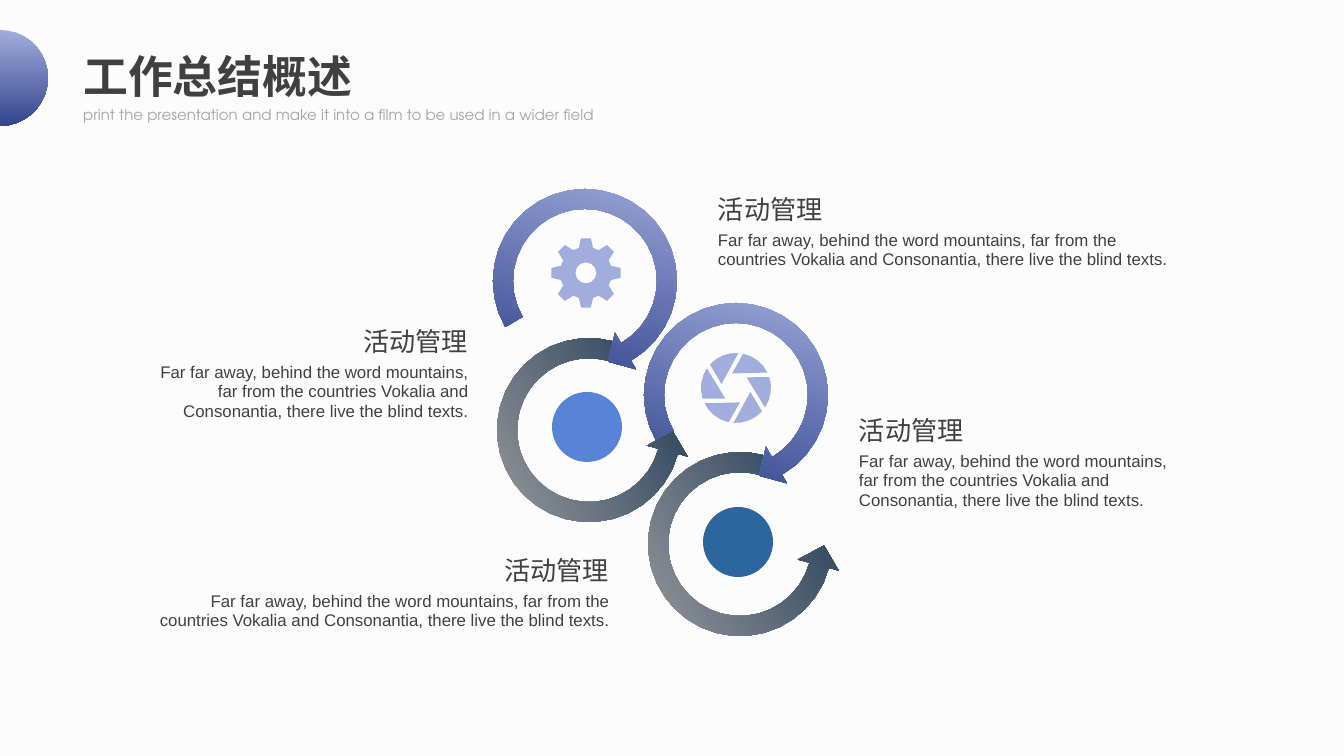
from math import cos, radians, sin

from pptx import Presentation
from pptx.dml.color import RGBColor
from pptx.enum.shapes import MSO_SHAPE
from pptx.enum.text import PP_ALIGN
from pptx.util import Pt

SCALE = 914400 / 134.4
PAPER = RGBColor(0xFC, 0xFC, 0xFC)
INK = RGBColor(0x40, 0x40, 0x40)
GREY = RGBColor(0xA6, 0xA6, 0xA6)
NAVY = RGBColor(0x17, 0x32, 0x4F)
LILAC = RGBColor(0xA1, 0xAD, 0xDD)
INDIGO = RGBColor(0x33, 0x45, 0x8C)
SKY = RGBColor(0x57, 0x84, 0xD6)
BLUE = RGBColor(0x2D, 0x65, 0x9E)

BODY_FONT = "Arial"
TITLE_FONT = "TeX Gyre Adventor"
HEADING = "活动管理"
BODY = ("Far far away, behind the word mountains, far from the countries "
        "Vokalia and Consonantia, there live the blind texts.")


def px(length):
    return round(length * SCALE)


def polar(radius, angle):
    return radius * cos(radians(angle)), radius * sin(radians(angle))


def arc(radius, start, end, step=10):
    count = max(1, round(abs(end - start) / step))
    return [polar(radius, start + (end - start) * i / count)
            for i in range(count + 1)]


def outline(slide, centre, contours):
    placed = [[(px(centre[0] + x), px(centre[1] + y)) for x, y in contour]
              for contour in contours]
    builder = slide.shapes.build_freeform(*placed[0][0])
    builder.add_line_segments(placed[0][1:])
    for contour in placed[1:]:
        builder.move_to(*contour[0])
        builder.add_line_segments(contour[1:])
    figure = builder.convert_to_shape()
    figure.shadow.inherit = False
    figure.line.fill.background()
    return figure


def paint(figure, colour):
    figure.fill.solid()
    figure.fill.fore_color.rgb = colour


def paint_downward(figure, top_colour, bottom_colour):
    figure.fill.gradient()
    figure.fill.gradient_angle = 270
    stops = figure.fill.gradient_stops
    for stop, position, colour in zip(stops, (0, 1), (top_colour, bottom_colour)):
        stop.position = position
        stop.color.rgb = colour


def ring_arrow(slide, centre, colours, rotation, mirrored=False):
    tail, neck = 135, 405
    head = [polar(102, neck), polar(84, neck + 14), polar(60, neck)]
    band = arc(92, tail, neck) + head + arc(72, neck, tail)
    if mirrored:
        band = [(-x, y) for x, y in band]
    ring = outline(slide, centre, [band])
    paint_downward(ring, *colours)
    dx = ring.left + ring.width / 2 - px(centre[0])
    dy = ring.top + ring.height / 2 - px(centre[1])
    c, s = cos(radians(rotation)), sin(radians(rotation))
    ring.left = round(px(centre[0]) + dx * c - dy * s - ring.width / 2)
    ring.top = round(px(centre[1]) + dx * s + dy * c - ring.height / 2)
    ring.rotation = rotation


def gear(slide, centre):
    tooth = [(26, -16), (35, -8), (35, 8), (26, 16)]
    rim = [polar(radius, turn + angle)
           for turn in range(0, 360, 45) for radius, angle in tooth]
    paint(outline(slide, centre, [rim, arc(10.5, 360, 0, 30)]), LILAC)


def aperture(slide, centre):
    blades = [arc(35, turn + 274, turn + 222, 13) + [polar(15, turn + 195)]
              for turn in range(0, 360, 60)]
    paint(outline(slide, centre, blades), LILAC)


def disc(slide, centre, colour):
    radius = 35
    badge = slide.shapes.add_shape(
        MSO_SHAPE.OVAL, px(centre[0] - radius), px(centre[1] - radius),
        px(2 * radius), px(2 * radius))
    badge.shadow.inherit = False
    badge.line.fill.background()
    paint(badge, colour)


def write(slide, box, text, size, font, colour, align=PP_ALIGN.LEFT,
          bold=False, inset=True, spacing=None):
    frame = slide.shapes.add_textbox(*map(px, box)).text_frame
    frame.word_wrap = True
    if not inset:
        frame.margin_left = frame.margin_right = 0
        frame.margin_top = frame.margin_bottom = 0
    frame.text = text
    paragraph = frame.paragraphs[0]
    paragraph.alignment = align
    if spacing:
        paragraph.line_spacing = spacing
    style = paragraph.runs[0].font
    style.name, style.size, style.bold = font, Pt(size), bold
    style.color.rgb = colour


def header(slide, left, top):
    paint_downward(outline(slide, (left, top + 48), [arc(48, -90, 90)]),
                   LILAC, INDIGO)
    write(slide, (left + 70, top + 12, 462, 67), "工作总结概述", 24,
          TITLE_FONT, INK, bold=True)
    write(slide, (left + 70, top + 69, 610, 32),
          "print the presentation and make it into a film to be used in a wider field",
          8, TITLE_FONT, GREY)


def cycle(slide, left, top):
    pair_step = (151, 114)
    for pair in (1, 0):
        x, y = left + pair * pair_step[0], top + pair * pair_step[1]
        ring_arrow(slide, (x + 96, y + 241), (GREY, NAVY), 240, mirrored=True)
        ring_arrow(slide, (x + 92, y + 92), (LILAC, INDIGO), 15)
    disc(slide, (left + 245, top + 353), BLUE)
    disc(slide, (left + 94, top + 238), SKY)
    gear(slide, (left + 93, top + 84))
    aperture(slide, (left + 243, top + 199))


def topic(slide, left, top, width, align):
    heading_width = 270
    shift = width - heading_width if align == PP_ALIGN.RIGHT else 0
    write(slide, (left, top + 37, width, 62), BODY, 9, BODY_FONT, INK,
          align, inset=False, spacing=Pt(10.5))
    write(slide, (left + shift, top, heading_width, 32), HEADING, 14,
          BODY_FONT, INK, align, inset=False)


def main():
    deck = Presentation()
    deck.slide_width, deck.slide_height = px(1344), px(756)
    slide = deck.slides.add_slide(deck.slide_layouts[6])
    paint(slide.background, PAPER)
    header(slide, 0, 30)
    cycle(slide, 493, 189)
    wide, narrow = 460, 319
    topic(slide, 718, 193, wide, PP_ALIGN.LEFT)
    topic(slide, 149, 554, wide, PP_ALIGN.RIGHT)
    topic(slide, 149, 325, narrow, PP_ALIGN.RIGHT)
    topic(slide, 859, 414, narrow, PP_ALIGN.LEFT)
    deck.save("out.pptx")


if __name__ == "__main__":
    main()
